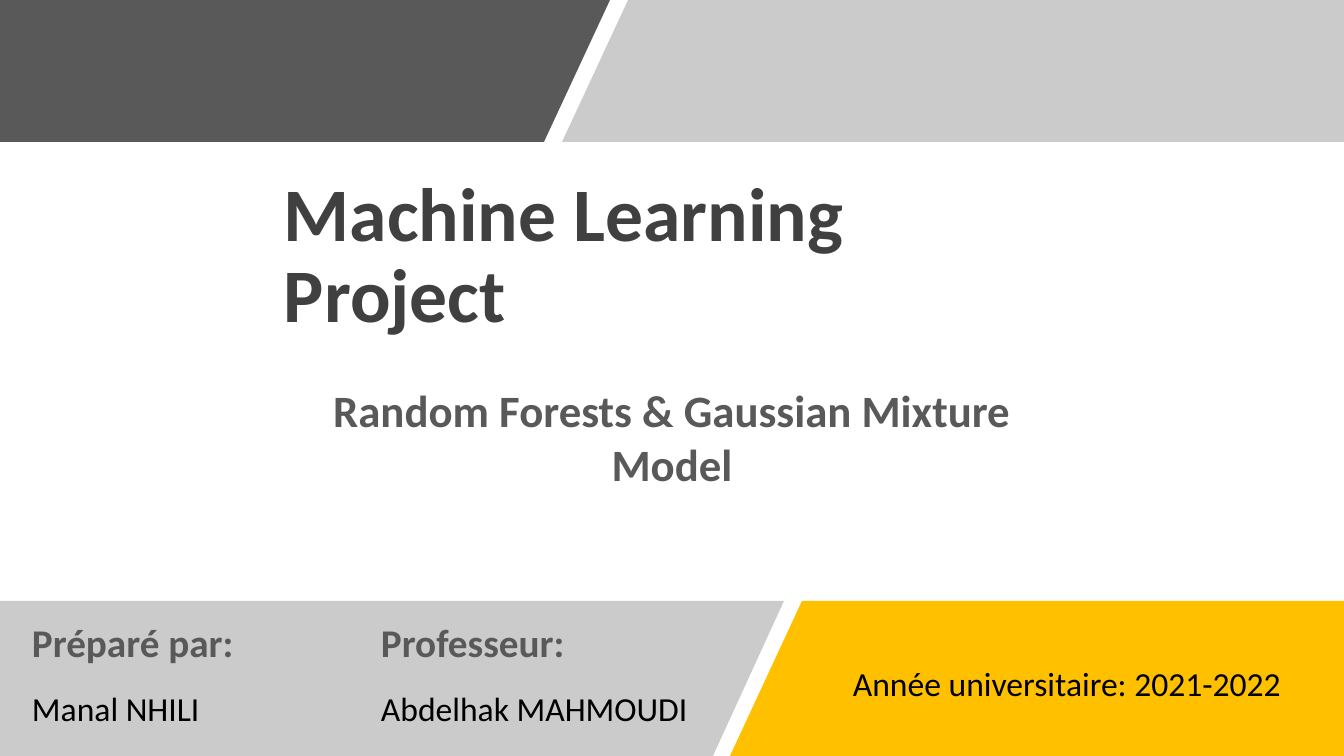
from lxml import etree
from pptx import Presentation
from pptx.dml.color import RGBColor
from pptx.enum.text import MSO_ANCHOR, PP_ALIGN
from pptx.oxml.ns import qn
from pptx.util import Pt

LEFT, CENTER = PP_ALIGN.LEFT, PP_ALIGN.CENTER
TOP, BOTTOM = MSO_ANCHOR.TOP, MSO_ANCHOR.BOTTOM
SCALE = 914400 / 100.8
WIDTH, HEIGHT = 1344, 756
PLAIN_TABLE = "{2D5ABB26-0587-4C30-8999-92F81FD0307C}"
TITLE_GRAY, DARK_GRAY, MID_GRAY = "404040", "595959", "7F7F7F"
GOLD, BLACK = "FFC000", "000000"


def px(length):
    return round(length * SCALE)


def color(value):
    return RGBColor.from_string(value)


class SlideBuilder:
    font = "Calibri"

    def __init__(self, slide):
        self.slide = slide

    def add_run(self, paragraph, text, size, ink, bold):
        run = paragraph.add_run()
        run.text = text
        run.font.name = self.font
        run.font.size = Pt(size)
        run.font.bold = bold
        run.font.color.rgb = color(ink)

    def text(self, box, text, size, ink, bold=False, align=LEFT, anchor=TOP, spacing=1.0):
        frame = self.slide.shapes.add_textbox(*map(px, box)).text_frame
        frame.word_wrap = True
        frame.vertical_anchor = anchor
        paragraph = frame.paragraphs[0]
        paragraph.alignment = align
        paragraph.line_spacing = spacing
        self.add_run(paragraph, text, size, ink, bold)

    def band(self, points, fill, opacity=100):
        outline = self.slide.shapes.build_freeform(*points[0], scale=SCALE)
        outline.add_line_segments(points[1:], close=True)
        band = outline.convert_to_shape()
        band.shadow.inherit = False
        band.line.fill.background()
        band.fill.solid()
        band.fill.fore_color.rgb = color(fill)
        if opacity < 100:
            tint = band._element.spPr.find(qn("a:solidFill"))[0]
            etree.SubElement(tint, qn("a:alpha"), val=str(opacity * 1000))

    def table(self, left, top, widths, heights, rows, styles):
        box = (left, top, sum(widths), sum(heights))
        table = self.slide.shapes.add_table(len(rows), len(widths), *map(px, box)).table
        table._tbl.tblPr.find(qn("a:tableStyleId")).text = PLAIN_TABLE
        table.first_row = table.horz_banding = False
        for column, width in zip(table.columns, widths):
            column.width = px(width)
        for row, height, texts, style in zip(table.rows, heights, rows, styles):
            row.height = px(height)
            for cell, text in zip(row.cells, texts):
                cell.fill.background()
                cell.margin_left = cell.margin_right = px(23)
                cell.margin_top = cell.margin_bottom = px(11)
                self.add_run(cell.text_frame.paragraphs[0], text, *style)


deck = Presentation()
deck.slide_width, deck.slide_height = px(WIDTH), px(HEIGHT)
cover = SlideBuilder(deck.slides.add_slide(deck.slide_layouts[6]))

header_bottom, footer_top = 142, 601
cover.text((274, 246, 796, 98), "Machine Learning Project", 54, TITLE_GRAY,
           bold=True, anchor=BOTTOM, spacing=0.9)
cover.band([(0, 0), (610, 0), (544, header_bottom), (0, header_bottom)], DARK_GRAY)
cover.band([(628, 0), (WIDTH, 0), (WIDTH, header_bottom), (562, header_bottom)],
           MID_GRAY, opacity=40)
cover.band([(802, footer_top), (WIDTH, footer_top), (WIDTH, HEIGHT), (730, HEIGHT)], GOLD)
cover.band([(0, footer_top), (784, footer_top), (713, HEIGHT), (0, HEIGHT)],
           MID_GRAY, opacity=40)

cover.table(9, 609, [349, 401], [70, 64],
            [["Préparé par:", "Professeur:"], ["Manal NHILI", "Abdelhak MAHMOUDI"]],
            [(28, DARK_GRAY, True), (24, BLACK, False)])
cover.text((287, 378, 770, 119), "Random Forests & Gaussian Mixture Model", 32, DARK_GRAY,
           bold=True, align=CENTER)
cover.text((843, 658, 493, 50), "Année universitaire: 2021-2022", 24, BLACK)

deck.save("out.pptx")
